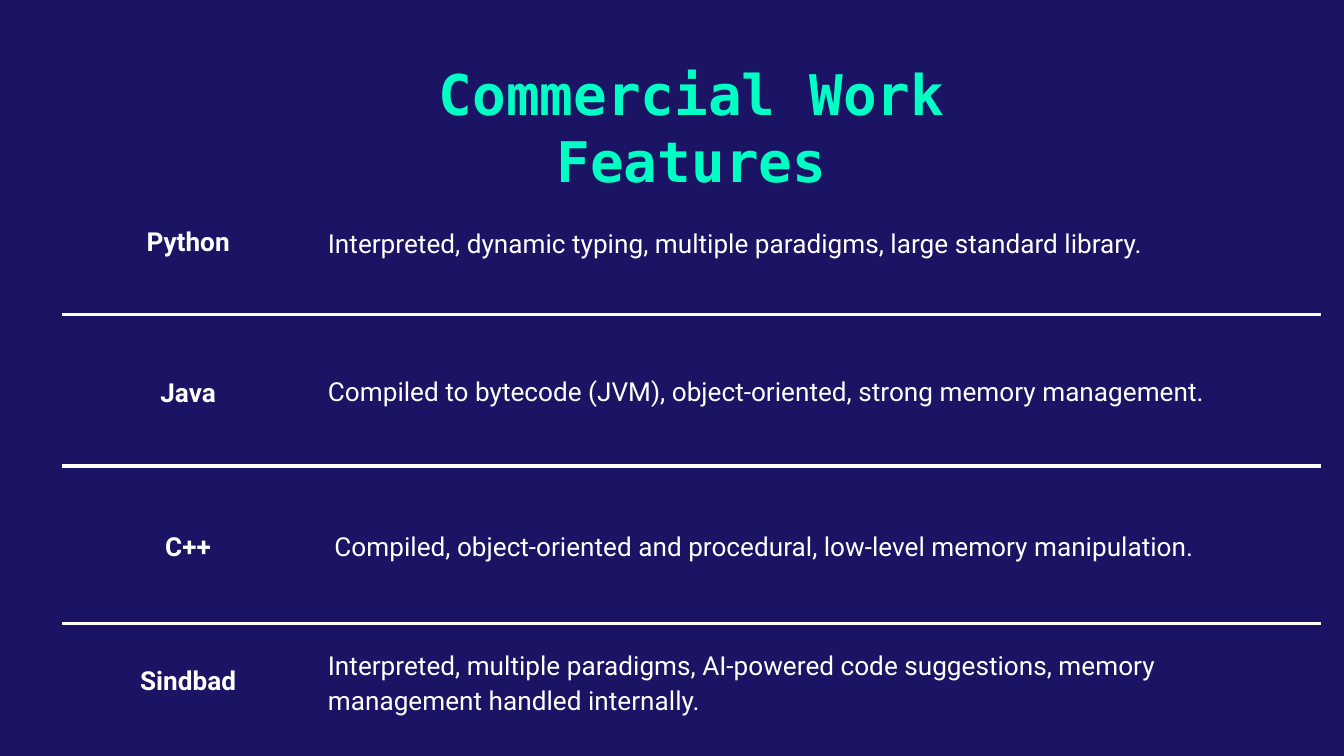
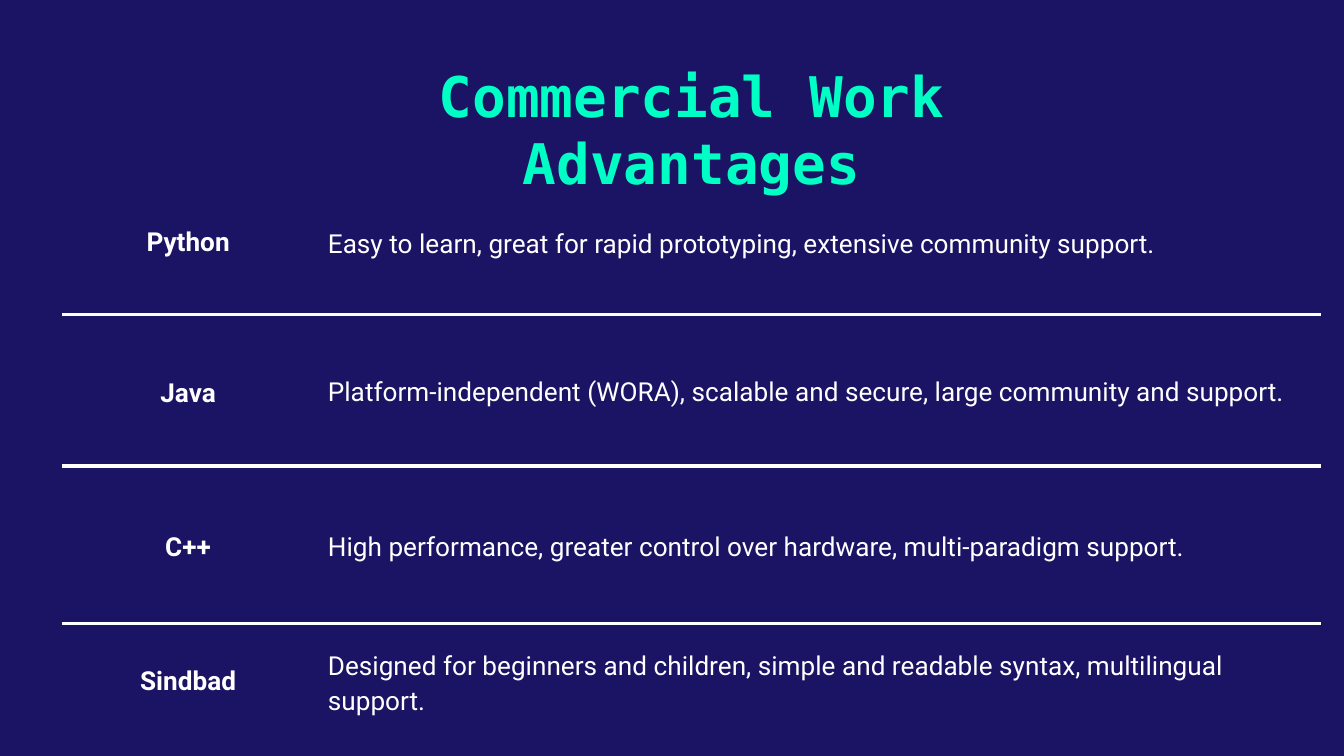
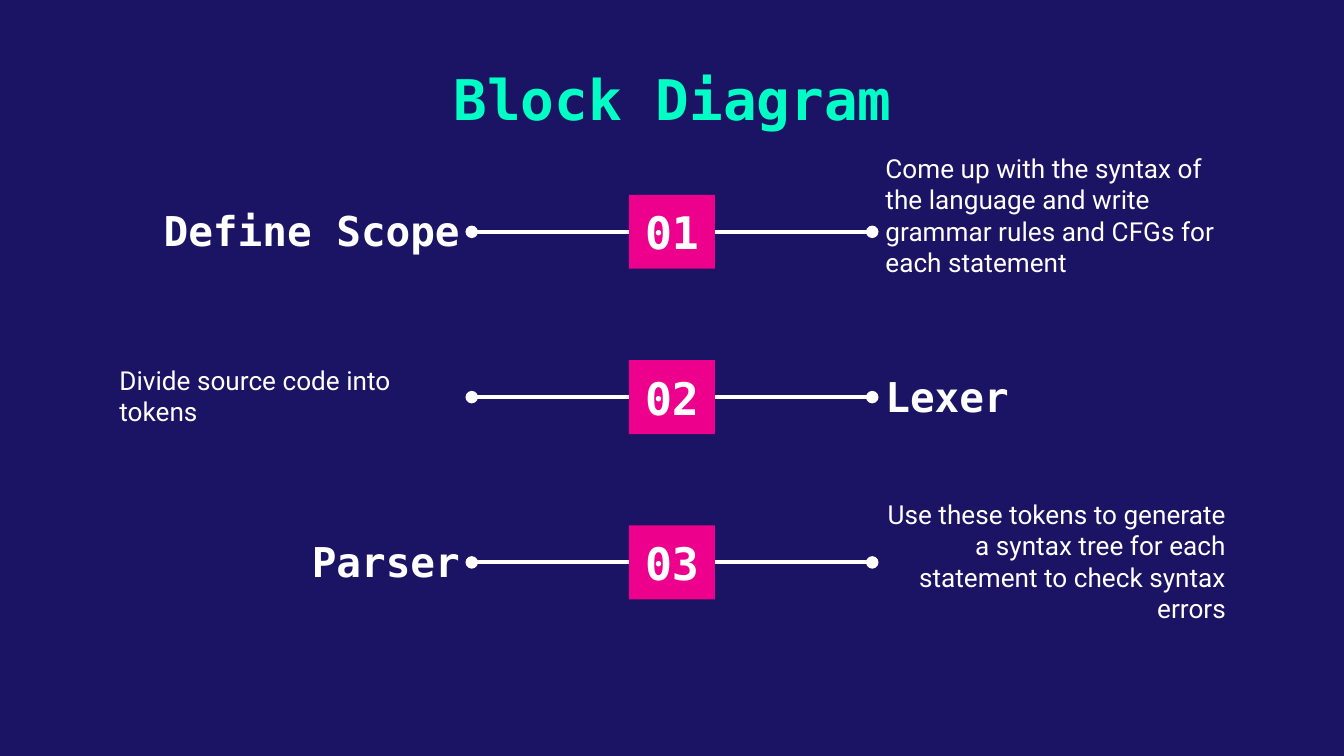
import copy

import pptx
import pptx.dml.color
import pptx.enum.shapes
import pptx.enum.text
import pptx.oxml
import pptx.oxml.ns
import pptx.util
from pptx.util import Inches

# Shared look
NAVY = "1B1464"
MINT = "00FFC5"
PINK = "EC008C"
WHITE = "FFFFFF"
MONO = "DejaVu Sans Mono"
SANS = "Roboto"
LINE_WIDTH = pptx.util.Pt(2.25)
LEFT = pptx.enum.text.PP_ALIGN.LEFT
CENTER = pptx.enum.text.PP_ALIGN.CENTER
RIGHT = pptx.enum.text.PP_ALIGN.RIGHT
TOP = pptx.enum.text.MSO_ANCHOR.TOP
MIDDLE = pptx.enum.text.MSO_ANCHOR.MIDDLE

# Comparison tables: language name and line spacing of its cell
LANGUAGES = [("Python", 1.0), ("Java", 1.2), ("C++", 1.2), ("Sindbad", 1.0)]
COLUMN_WIDTHS = [1.88, 7.49]
ROW_HEIGHTS = [1.07, 1.13, 1.17, 0.87]
FEATURES = [
    "Interpreted, dynamic typing, multiple paradigms, large standard library.",
    "Compiled to bytecode (JVM), object-oriented, strong memory management.",
    " Compiled, object-oriented and procedural, low-level memory manipulation.",
    "Interpreted, multiple paradigms, AI-powered code suggestions, "
    "memory management handled internally.",
]
ADVANTAGES = [
    "Easy to learn, great for rapid prototyping, extensive community support.",
    "Platform-independent (WORA), scalable and secure, large community and support.",
    "High performance, greater control over hardware, multi-paradigm support.",
    "Designed for beginners and children, simple and readable syntax, "
    "multilingual support.",
]

# Block diagram: text on each side with its format
HEADING = dict(size=22, font=MONO, bold=True, inset_y=0)
STEPS = [
    (("Define Scope", dict(HEADING, align=RIGHT)),
     ("Come up with the syntax of the language and write grammar rules "
      "and CFGs for each statement", dict(inset_bottom=0.33))),
    (("Divide source code into tokens", {}),
     ("Lexer", HEADING)),
    (("Parser", dict(HEADING, align=RIGHT)),
     ("Use these tokens to generate a syntax tree for each statement "
      "to check syntax errors", dict(align=RIGHT))),
]


def color(value):
    return pptx.dml.color.RGBColor.from_string(value)


def write_text(frame, text, *, anchor=MIDDLE, inset_y=0.1, inset_bottom=None,
               **text_format):
    """Fill the text frame of a shape."""
    frame.word_wrap = True
    frame.auto_size = pptx.enum.text.MSO_AUTO_SIZE.NONE
    frame.vertical_anchor = anchor
    frame.margin_left = frame.margin_right = Inches(0.1)
    frame.margin_top = Inches(inset_y)
    frame.margin_bottom = Inches(inset_y if inset_bottom is None else inset_bottom)
    write_paragraph(frame.paragraphs[0], text, **text_format)


def write_paragraph(paragraph, text, *, size=14, font=SANS, ink=WHITE, bold=False,
                    align=LEFT, line_spacing=None, gap=None):
    """Fill a paragraph; a newline in the text is a line break."""
    paragraph.text = text
    paragraph.alignment = align
    if line_spacing:
        paragraph.line_spacing = line_spacing
    if gap is not None:
        paragraph.space_before = paragraph.space_after = pptx.util.Pt(gap)
    for run in paragraph.runs:
        run.font.size = pptx.util.Pt(size)
        run.font.name = font
        run.font.bold = bold
        run.font.color.rgb = color(ink)
    # Line breaks take the size of the text around them
    for line_break in paragraph._p.findall(pptx.oxml.ns.qn("a:br")):
        line_break.insert(0, copy.deepcopy(paragraph.runs[0]._r.rPr))


def add_titled_slide(presentation, title, left, top):
    slide = presentation.slides.add_slide(presentation.slide_layouts[5])
    slide.background.fill.solid()
    slide.background.fill.fore_color.rgb = color(NAVY)
    shape = slide.shapes.title
    shape.left, shape.top = Inches(left), Inches(top)
    shape.width, shape.height = Inches(8.43), Inches(0.73)
    write_text(shape.text_frame, title, size=30, font=MONO, ink=MINT, bold=True,
               align=CENTER, anchor=TOP)
    return slide


def set_borders(cell, visible):
    """Draw the named edges of a cell in white and hide the others."""
    properties = cell._tc.get_or_add_tcPr()
    for edge in ("lnL", "lnR", "lnT", "lnB"):
        fill = "<a:noFill/>"
        if edge in visible:
            fill = f'<a:solidFill><a:srgbClr val="{WHITE}"/></a:solidFill>'
        properties.append(pptx.oxml.parse_xml(
            f'<a:{edge} {pptx.oxml.ns.nsdecls("a")} w="{LINE_WIDTH}">{fill}</a:{edge}>'))


def write_cell(cell, text, **text_format):
    cell.vertical_anchor = MIDDLE
    cell.margin_left = cell.margin_right = Inches(0.1)
    cell.margin_top = cell.margin_bottom = Inches(0.1)
    write_paragraph(cell.text_frame.paragraphs[0], text, **text_format)


def add_language_table(slide, left, top, descriptions):
    frame = slide.shapes.add_table(
        len(ROW_HEIGHTS), len(COLUMN_WIDTHS), Inches(left), Inches(top),
        Inches(sum(COLUMN_WIDTHS)), Inches(sum(ROW_HEIGHTS)))
    table = frame.table
    table.first_row = table.horz_banding = False
    for column, width in zip(table.columns, COLUMN_WIDTHS):
        column.width = Inches(width)
    last = len(ROW_HEIGHTS) - 1
    for index, ((language, spacing), description) in enumerate(zip(LANGUAGES, descriptions)):
        table.rows[index].height = Inches(ROW_HEIGHTS[index])
        name_format = dict(bold=True, align=CENTER, line_spacing=spacing)
        description_format = dict(line_spacing=1.15, gap=12)
        edges = [edge for edge, inner in (("lnT", index > 0), ("lnB", index < last)) if inner]
        for column, (text, text_format) in enumerate(
                [(language, name_format), (description, description_format)]):
            cell = table.cell(index, column)
            set_borders(cell, edges)
            cell.fill.background()
            write_cell(cell, text, **text_format)


def add_comparison_slide(presentation, title, title_top, descriptions):
    slide = add_titled_slide(presentation, title, 0.93, title_top)
    add_language_table(slide, 0.46, 1.27, descriptions)


def add_dotted_line(slide, badge, side, end_x):
    """Line from one side of the badge to a round dot."""
    middle = badge.top + badge.height // 2
    line = slide.shapes.add_connector(
        pptx.enum.shapes.MSO_CONNECTOR.STRAIGHT, badge.left, middle, end_x, middle)
    line.begin_connect(badge, side)
    line.line.color.rgb = color(WHITE)
    line.line.width = LINE_WIDTH
    outline = line.line._get_or_add_ln()
    outline.append(pptx.oxml.parse_xml(
        f'<a:tailEnd {pptx.oxml.ns.nsdecls("a")} type="oval"/>'))
    line._element.spPr.append(pptx.oxml.parse_xml(
        f'<a:effectLst {pptx.oxml.ns.nsdecls("a")}/>'))


def add_step(slide, left, top, number, left_side, right_side):
    """One row of the diagram: text, badge, text, joined by lines."""
    text_width, text_height = 2.73, 0.47
    right_left = left + 5.7
    badge = slide.shapes.add_shape(
        pptx.enum.shapes.MSO_SHAPE.RECTANGLE,
        Inches(left + 3.89), Inches(top), Inches(0.64), Inches(0.55))
    badge.shadow.inherit = False
    badge.fill.solid()
    badge.fill.fore_color.rgb = color(PINK)
    badge.line.fill.background()
    write_text(badge.text_frame, f"{number:02d}", size=24, font=MONO, bold=True, align=CENTER)

    add_dotted_line(slide, badge, 1, Inches(left + text_width - 0.01))
    add_dotted_line(slide, badge, 3, Inches(right_left))

    for text_left, (text, text_format) in ((left, left_side), (right_left, right_side)):
        box = slide.shapes.add_textbox(Inches(text_left), Inches(top + 0.03),
                                       Inches(text_width), Inches(text_height))
        write_text(box.text_frame, text, **text_format)


def add_diagram_slide(presentation):
    slide = add_titled_slide(presentation, "Block Diagram", 0.79, 0.38)
    for index, (left_side, right_side) in enumerate(STEPS):
        add_step(slide, 0.79, 1.45 + 1.23 * index, index + 1, left_side, right_side)


def main():
    presentation = pptx.Presentation()
    presentation.slide_width = Inches(10)
    presentation.slide_height = presentation.slide_width * 9 // 16
    add_comparison_slide(presentation, "Commercial Work\nFeatures", 0.34, FEATURES)
    add_comparison_slide(presentation, "Commercial Work\nAdvantages", 0.36, ADVANTAGES)
    add_diagram_slide(presentation)
    presentation.save("out.pptx")


if __name__ == "__main__":
    main()
